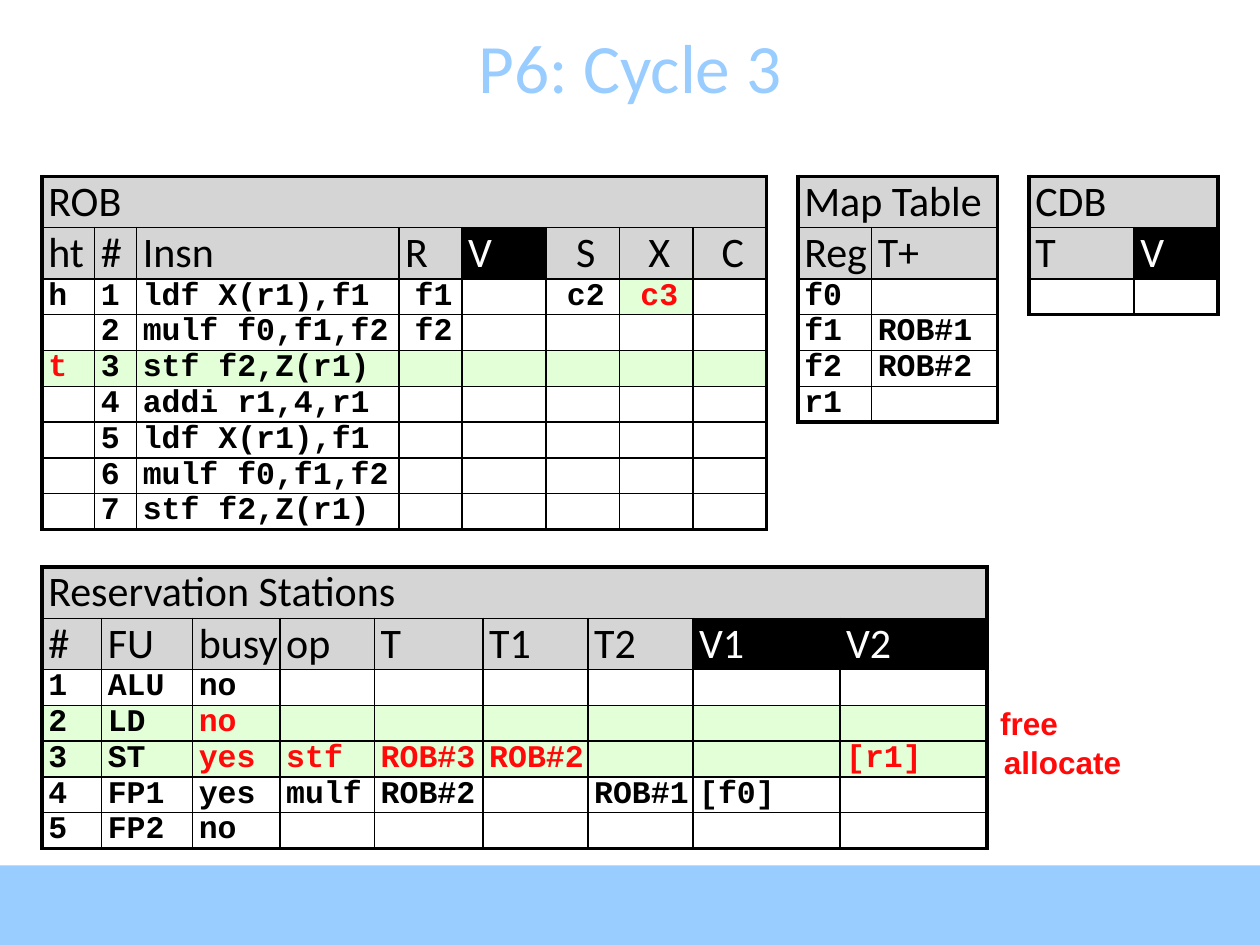
from lxml.etree import SubElement
from pptx import Presentation
from pptx.dml.color import RGBColor
from pptx.enum.shapes import MSO_SHAPE as Shape
from pptx.enum.text import MSO_ANCHOR as Anchor, MSO_AUTO_SIZE as AutoSize, PP_ALIGN as Align
from pptx.oxml.ns import qn
from pptx.text.text import Font
from pptx.util import Pt

BLACK = RGBColor(0x00, 0x00, 0x00)
WHITE = RGBColor(0xFF, 0xFF, 0xFF)
SKY = RGBColor(0x99, 0xCC, 0xFF)
GREY = RGBColor(0xD5, 0xD5, 0xD5)
GREEN = RGBColor(0xE2, 0xFF, 0xD8)
RED = RGBColor(0xFF, 0x09, 0x09)

PAGE_WIDTH, PAGE_HEIGHT = 720, 540
ROW_HEIGHT = 19.2
THICK, THIN = 2.25, 1
LEFT, TOP = 24, 100.8


class CycleSlide:
    """Holds the text styles and the page being drawn."""

    title_font = {"name": "Calibri", "size": Pt(39.6), "bold": False}
    head_font = {"name": "Calibri", "size": Pt(24), "bold": False}
    body_font = {"name": "Courier New", "size": Pt(18), "bold": True}
    note_font = {"name": "Arial", "size": Pt(18), "bold": True}

    def __init__(self, deck):
        self.page = deck.slides.add_slide(deck.slide_layouts[5])

    def style(self, font, values, color):
        for key, value in values.items():
            setattr(font, key, value)
        font.color.rgb = color

    def add_text(self, para, text, values, color):
        if text:
            span = para.add_run()
            span.text = text
            font = span.font
        else:
            # An empty cell still takes its line height from the end mark
            font = Font(para._p.get_or_add_endParaRPr())
        self.style(font, values, color)

    def title(self, text):
        box = self.page.shapes.title
        box.left, box.top, box.width, box.height = Pt(0), Pt(15), Pt(PAGE_WIDTH), Pt(45)
        frame = box.text_frame
        frame.auto_size = AutoSize.NONE
        frame.vertical_anchor = Anchor.MIDDLE
        frame.paragraphs[0].alignment = Align.CENTER
        self.add_text(frame.paragraphs[0], text, self.title_font, SKY)

    def band(self, top):
        box = self.page.shapes.add_shape(
            Shape.RECTANGLE, Pt(0), Pt(top), Pt(PAGE_WIDTH), Pt(PAGE_HEIGHT - top))
        box.shadow.inherit = False
        box.fill.solid()
        box.fill.fore_color.rgb = SKY
        box.line.fill.background()

    def note(self, left, top, width, text):
        box = self.page.shapes.add_textbox(Pt(left), Pt(top), Pt(width), Pt(29))
        box.text_frame.word_wrap = False
        box.text_frame.auto_size = AutoSize.SHAPE_TO_FIT_TEXT
        self.add_text(box.text_frame.paragraphs[0], text, self.note_font, RED)

    def borders(self, cell, widths):
        properties = cell._tc.get_or_add_tcPr()
        for side, width in zip("LRTB", widths):
            line = SubElement(properties, qn(f"a:ln{side}"), w=str(Pt(width)))
            fill = SubElement(line, qn("a:solidFill"))
            SubElement(fill, qn("a:srgbClr"), val=str(BLACK))

    def table(self, left, top, height, widths, lines, green_rows=(), centered=()):
        """Lines hold cells split by |; a leading * marks a cell changed this cycle.

        Columns whose heading starts with V are headed white on black.
        """
        rows, columns = len(lines), len(widths)
        holder = self.page.shapes.add_table(
            rows, columns, Pt(left), Pt(top), Pt(sum(widths)), Pt(height))
        table = holder.table
        table.first_row = table.horz_banding = False
        for column, width in zip(table.columns, widths):
            column.width = Pt(width)
        for row in table.rows:
            row.height = Pt(ROW_HEIGHT)
        holder.height = Pt(height)
        table.cell(0, 0).merge(table.cell(0, columns - 1))

        for r, line in enumerate(lines):
            texts = line.split("|")
            texts += [""] * (columns - len(texts))
            for c, text in enumerate(texts):
                cell = table.cell(r, c)
                changed = text.startswith("*")
                values = self.head_font if r < 2 else self.body_font
                color, fill = (RED if changed else BLACK), WHITE
                if r == 1 and text.startswith("V"):
                    color, fill = WHITE, BLACK
                elif r < 2:
                    fill = GREY
                elif changed or r in green_rows:
                    fill = GREEN

                cell.margin_left = Pt(3.6)
                cell.margin_right = cell.margin_top = cell.margin_bottom = 0
                last = columns - 1
                self.borders(cell, (
                    THICK if c == 0 else THIN,
                    THICK if c == last or r == 0 else THIN,
                    THICK if r == 0 else THIN,
                    THICK if r == rows - 1 else THIN))
                cell.fill.solid()
                cell.fill.fore_color.rgb = fill
                para = cell.text_frame.paragraphs[0]
                if r > 0 and c in centered and text != "R":
                    para.alignment = Align.CENTER
                self.add_text(para, text.lstrip("*"), values, color)


def main():
    deck = Presentation()
    deck.slide_width, deck.slide_height = Pt(PAGE_WIDTH), Pt(PAGE_HEIGHT)
    slide = CycleSlide(deck)
    slide.band(494.5)
    slide.title("P6: Cycle 3")

    # Reorder buffer
    slide.table(LEFT, TOP, 208.8, [30, 24, 150, 36, 48, 42, 42, 42], [
        "ROB",
        "ht|#|Insn|R|V|S|X|C",
        "h|1|ldf X(r1),f1|f1||c2|*c3",
        "|2|mulf f0,f1,f2|f2",
        "*t|3|stf f2,Z(r1)",
        "|4|addi r1,4,r1",
        "|5|ldf X(r1),f1",
        "|6|mulf f0,f1,f2",
        "|7|stf f2,Z(r1)",
    ], green_rows=[4], centered=[3, 5, 6, 7])

    # Map table
    slide.table(456, TOP, 144, [42, 72], [
        "Map Table", "Reg|T+", "f0", "f1|ROB#1", "f2|ROB#2", "r1"])

    # Reservation stations
    slide.table(LEFT, 324, 165.6, [34, 52, 50, 54, 62, 60, 60, 84, 84], [
        "Reservation Stations",
        "#|FU|busy|op|T|T1|T2|V1|V2",
        "1|ALU|no",
        "2|LD|*no",
        "3|ST|*yes|*stf|*ROB#3|*ROB#2|||*[r1]",
        "4|FP1|yes|mulf|ROB#2||ROB#1|[f0]",
        "5|FP2|no",
    ], green_rows=[3, 4])

    # Common data bus
    slide.table(588, TOP, 79.2, [60, 48], ["CDB", "T|V", ""])

    # Notes beside the changed stations
    slide.note(566.6, 421.2, 81.4, "allocate")
    slide.note(564.5, 398.9, 47.5, "free")

    deck.save("out.pptx")


if __name__ == "__main__":
    main()
